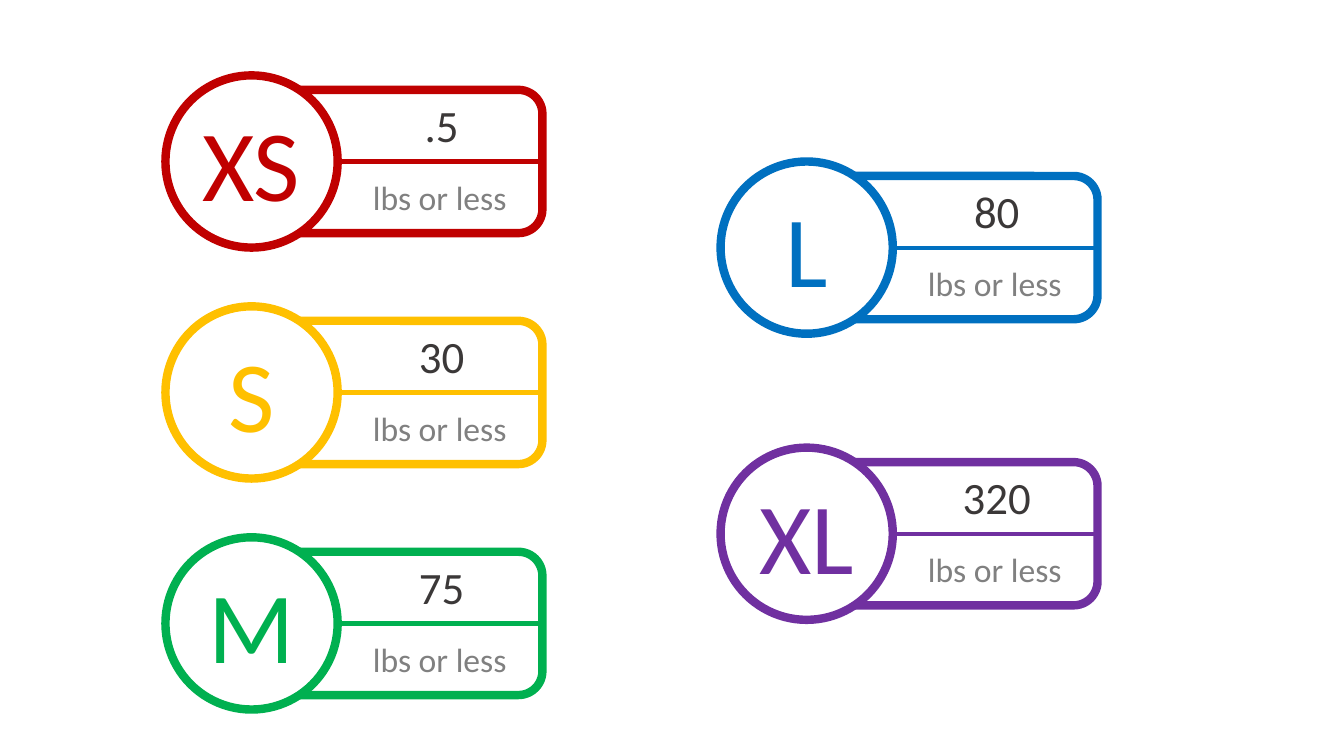
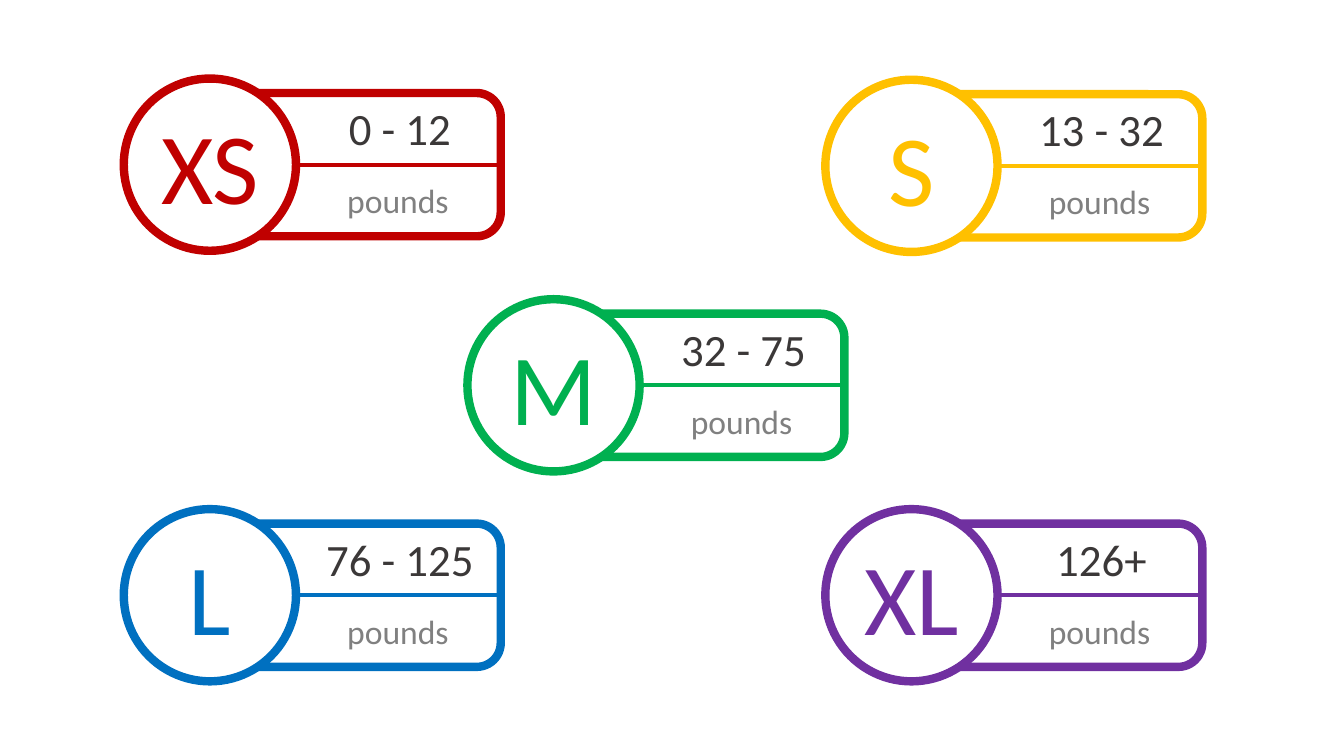
import lxml.etree
import pptx
import pptx.dml.color
import pptx.enum.shapes
import pptx.enum.text
import pptx.oxml.ns
import pptx.util

Cm = pptx.util.Cm
SHAPES = pptx.enum.shapes.MSO_SHAPE
FONT = "Calibri"
WHITE, DARK, GREY = "FFFFFF", "3B3838", "808080"
SIZE_COLORS = {
    "XS": "C00000",
    "S": "FFC000",
    "M": "00B050",
    "L": "0070C0",
    "XL": "7030A0",
}
CIRCLE = 4.34
CARD_LEFT, CARD_WIDTH, CARD_HEIGHT = 2.44, 7.06, 3.61

LEFT_COLUMN, RIGHT_COLUMN = 4.17, 18.16
FIRST_ROW, ROW_STEP = 1.9, 5.82
WEIGHT_LIMITS = [
    ("XS", ".5", LEFT_COLUMN, FIRST_ROW),
    ("S", "30", LEFT_COLUMN, FIRST_ROW + ROW_STEP),
    ("L", "80", RIGHT_COLUMN, 4.07),
    ("XL", "320", RIGHT_COLUMN, 11.28),
    ("M", "75", LEFT_COLUMN, FIRST_ROW + 2 * ROW_STEP),
]
OUTER_LEFT, OUTER_RIGHT, LOWER_ROW = 3.12, 20.8, 12.83
WEIGHT_RANGES = [
    ("XS", "0 - 12", OUTER_LEFT, 1.98),
    ("S", "13 - 32", OUTER_RIGHT, 2.01),
    ("L", "76 - 125", OUTER_LEFT, LOWER_ROW),
    ("XL", "126+", OUTER_RIGHT, LOWER_ROW),
    ("M", "32 - 75", 11.78, 7.54),
]


def rgb(color):
    return pptx.dml.color.RGBColor.from_string(color)


def write(frame, text, points, color):
    frame.text = text
    frame.word_wrap = True
    paragraph = frame.paragraphs[0]
    paragraph.alignment = pptx.enum.text.PP_ALIGN.CENTER
    font = paragraph.runs[0].font
    font.name = FONT
    font.size = pptx.util.Pt(points)
    font.color.rgb = rgb(color)


def add_outline(group, preset, left, top, width, height, color):
    outline = group.shapes.add_shape(preset, Cm(left), Cm(top), Cm(width), Cm(height))
    outline.shadow.inherit = False
    outline.fill.solid()
    outline.fill.fore_color.rgb = rgb(WHITE)
    outline.line.color.rgb = rgb(color)
    outline.line.width = pptx.util.Pt(6)
    return outline


def add_divider(group, start, end, height, color):
    divider = group.shapes.add_connector(
        pptx.enum.shapes.MSO_CONNECTOR.STRAIGHT, Cm(start), Cm(height), Cm(end), Cm(height)
    )
    divider.line.color.rgb = rgb(color)
    divider.line.width = pptx.util.Pt(3)
    properties = divider.element.find(pptx.oxml.ns.qn("p:spPr"))
    lxml.etree.SubElement(properties, pptx.oxml.ns.qn("a:effectLst"))


def add_label(group, text, left, top, width, height, points, color):
    label = group.shapes.add_textbox(Cm(left), Cm(top), Cm(width), Cm(height))
    write(label.text_frame, text, points, color)
    label.text_frame.auto_size = pptx.enum.text.MSO_AUTO_SIZE.SHAPE_TO_FIT_TEXT


def add_badge(slide, size, weight, unit, left, top):
    color = SIZE_COLORS[size]
    group = slide.shapes.add_group_shape()
    card_left = left + CARD_LEFT
    middle = top + CIRCLE / 2
    add_outline(group, SHAPES.ROUNDED_RECTANGLE, card_left, middle - CARD_HEIGHT / 2,
                CARD_WIDTH, CARD_HEIGHT, color)
    add_divider(group, card_left + CARD_WIDTH, card_left, middle, color)
    circle = add_outline(group, SHAPES.OVAL, left, top, CIRCLE, CIRCLE, color)
    write(circle.text_frame, size, 72, color)
    circle.text_frame.vertical_anchor = pptx.enum.text.MSO_ANCHOR.MIDDLE
    add_label(group, unit, left + 4.32, top + 2.43, 5.18, 1.28, 24, GREY)
    add_label(group, weight, left + 4.42, top + 0.44, 5.08, 1.62, 32, DARK)


def add_badge_slide(deck, badges, unit):
    slide = deck.slides.add_slide(deck.slide_layouts[6])
    for size, weight, left, top in badges:
        add_badge(slide, size, weight, unit, left, top)


def main():
    deck = pptx.Presentation()
    deck.slide_width, deck.slide_height = Cm(33.87), Cm(19.05)
    add_badge_slide(deck, WEIGHT_LIMITS, "lbs or less")
    add_badge_slide(deck, WEIGHT_RANGES, "pounds")
    deck.save("out.pptx")


main()
